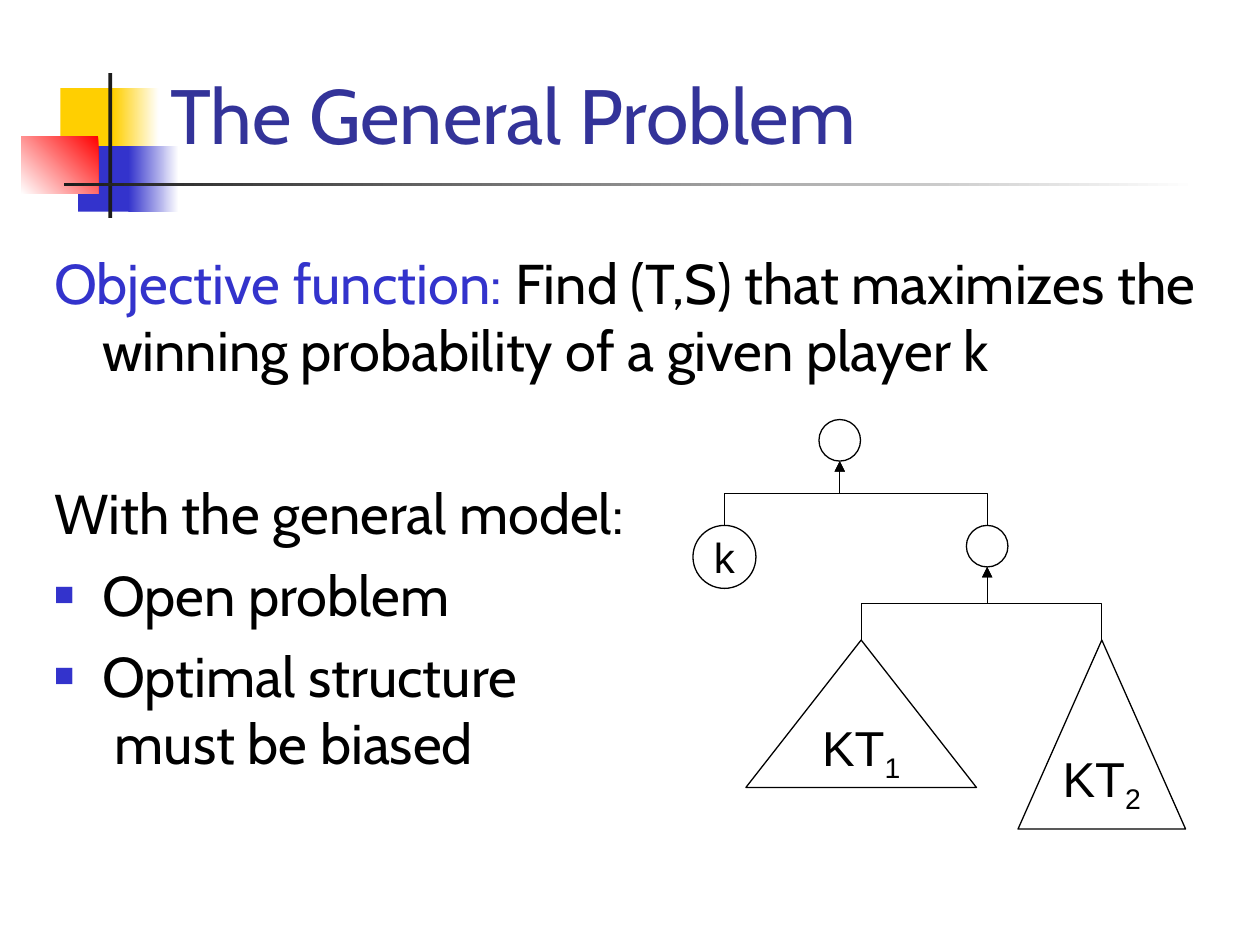
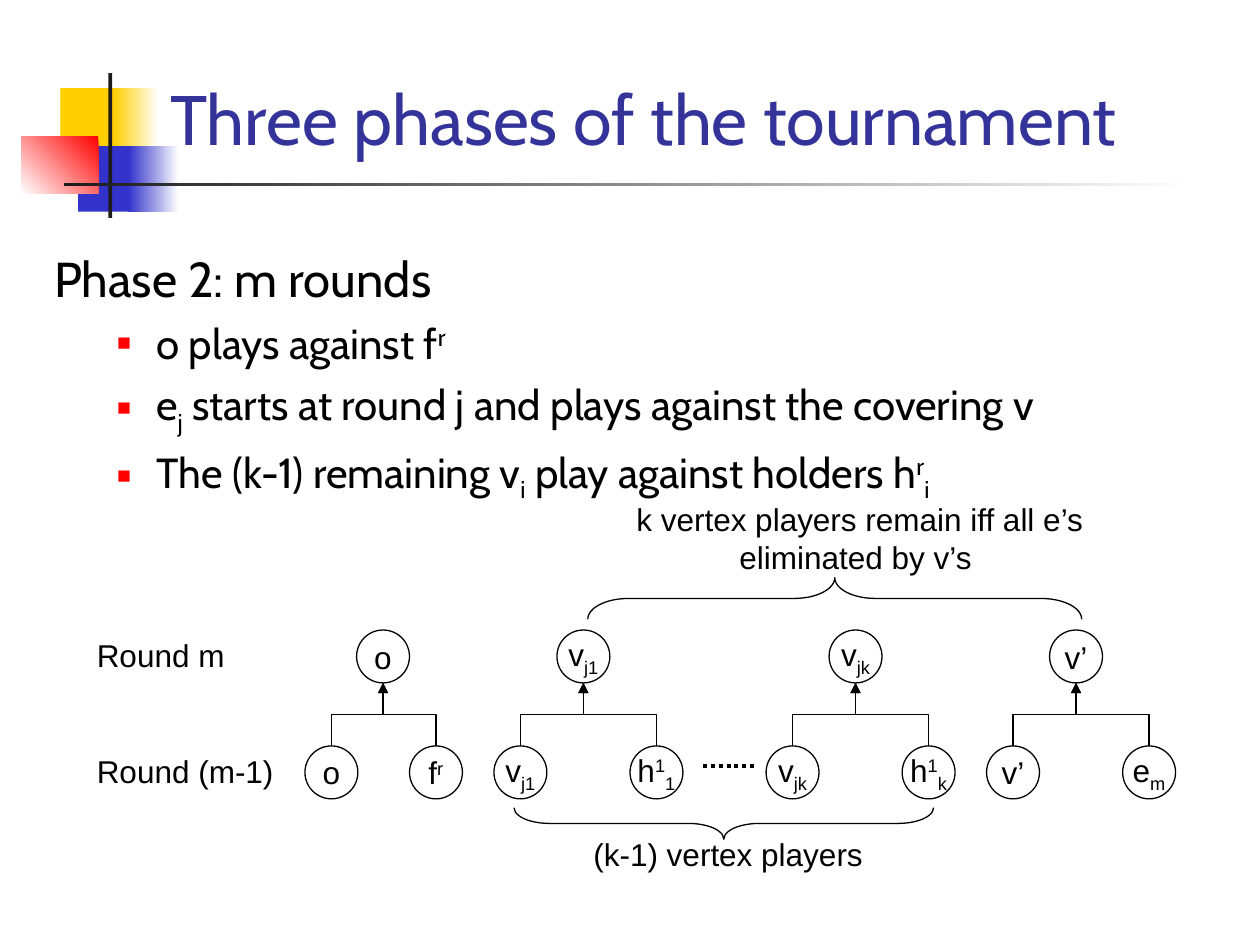
from typing import NamedTuple

from lxml import etree
from pptx import Presentation
from pptx.dml.color import RGBColor
from pptx.enum.dml import MSO_LINE
from pptx.enum.shapes import MSO_CONNECTOR, MSO_SHAPE
from pptx.enum.text import MSO_ANCHOR, MSO_AUTO_SIZE, PP_ALIGN
from pptx.oxml.ns import qn
from pptx.util import Inches, Pt

RECTANGLE, OVAL = MSO_SHAPE.RECTANGLE, MSO_SHAPE.OVAL
TRIANGLE, BRACE = MSO_SHAPE.ISOSCELES_TRIANGLE, MSO_SHAPE.LEFT_BRACE
ELBOW, STRAIGHT = MSO_CONNECTOR.ELBOW, MSO_CONNECTOR.STRAIGHT
LEFT, CENTER = PP_ALIGN.LEFT, PP_ALIGN.CENTER
TOP, MIDDLE, BOTTOM = MSO_ANCHOR.TOP, MSO_ANCHOR.MIDDLE, MSO_ANCHOR.BOTTOM
NO_AUTOFIT = MSO_AUTO_SIZE.NONE
DOTTED = MSO_LINE.ROUND_DOT

TEXT_FONT, DIAGRAM_FONT = "Cabin", "Arial"
BLACK, WHITE, CHARCOAL = "000000", "FFFFFF", "1C1C1C"
BLUE, TITLE_BLUE, YELLOW, RED = "3333CC", "333399", "FFCF01", "FF0000"
SUB, SUPER = -25, 30


class Span(NamedTuple):
    text: str
    baseline: int = 0
    color: str = BLACK


class Bullet(NamedTuple):
    color: str
    percent: int


class Item(NamedTuple):
    spans: list[Span]
    size: int
    before: float = 0
    margin: float = 0.38
    hanging: float = 0.38
    level: int = 0
    bullet: Bullet | None = None


class Band(NamedTuple):
    left: float
    top: float
    width: float
    height: float
    color: str
    fade_to: str | None = None
    angle: int = 0


class Match(NamedTuple):
    left: float
    winner_offset: float
    right_offset: float
    winner: list[Span]
    first: list[Span]
    second: list[Span]


class Label(NamedTuple):
    text: str
    left: float
    top: float
    width: float
    height: float
    align: PP_ALIGN = CENTER


BANDS = [
    Band(0.48, 0.7, 0.48, 0.52, YELLOW),
    Band(0.9, 0.7, 0.36, 0.52, YELLOW, WHITE),
    Band(0.62, 1.16, 0.46, 0.52, BLUE),
    Band(1.02, 1.16, 0.4, 0.52, BLUE, WHITE),
    Band(0.17, 1.08, 0.61, 0.46, RED, WHITE, 225),
    Band(0.86, 0.58, 0.03, 1.15, CHARCOAL),
    Band(0.51, 1.45, 9, 0.03, CHARCOAL, WHITE),
]


def rgb(color: str) -> RGBColor:
    return RGBColor.from_string(color)


# Text
def add_spans(para, spans: list[Span], size: int, font: str) -> None:
    for span in spans:
        for index, line in enumerate(span.text.split("\n")):
            if index:
                para.add_line_break()
            run = para.add_run()
            run.text = line
            run.font.size = Pt(size)
            run.font.name = font
            run.font.color.rgb = rgb(span.color)
            if span.baseline:
                run.font._element.set("baseline", str(span.baseline * 1000))


def set_bullet(para, item: Item) -> None:
    properties = para._p.get_or_add_pPr()
    properties.set("marL", str(Inches(item.margin)))
    properties.set("indent", str(-Inches(item.hanging)))
    if item.bullet is None:
        etree.SubElement(properties, qn("a:buNone"))
        return
    color = etree.SubElement(properties, qn("a:buClr"))
    etree.SubElement(color, qn("a:srgbClr"), val=item.bullet.color)
    etree.SubElement(properties, qn("a:buSzPct"), val=str(item.bullet.percent * 1000))
    etree.SubElement(properties, qn("a:buFont"), typeface=DIAGRAM_FONT)
    etree.SubElement(properties, qn("a:buChar"), char="■")


def place(box, left: float, top: float, width: float, height: float) -> None:
    box.left, box.top = Inches(left), Inches(top)
    box.width, box.height = Inches(width), Inches(height)


def fill_title(slide, text: str, size: int) -> None:
    title = slide.shapes.title
    place(title, 1.25, 0.33, 8.52, 0.99)
    frame = title.text_frame
    frame.auto_size = NO_AUTOFIT
    frame.vertical_anchor = BOTTOM
    para = frame.paragraphs[0]
    para.alignment = LEFT
    add_spans(para, [Span(text, color=TITLE_BLUE)], size, TEXT_FONT)


def fill_body(slide, items: list[Item], height: float) -> None:
    body = slide.placeholders[1]
    place(body, 0.33, 1.92, 9.67, height)
    frame = body.text_frame
    frame.auto_size = NO_AUTOFIT
    frame.vertical_anchor = TOP
    for index, item in enumerate(items):
        para = frame.add_paragraph() if index else frame.paragraphs[0]
        set_bullet(para, item)
        para.level = item.level
        para.space_before = Pt(item.before)
        add_spans(para, item.spans, item.size, TEXT_FONT)


def add_label(slide, label: Label) -> None:
    box = slide.shapes.add_textbox(Inches(label.left), Inches(label.top),
                                   Inches(label.width), Inches(label.height))
    box.text_frame.word_wrap = True
    para = box.text_frame.paragraphs[0]
    para.alignment = label.align
    add_spans(para, [Span(label.text)], 18, DIAGRAM_FONT)


# Diagram parts
def add_outline(slide, kind, left: float, top: float, width: float, height: float):
    shape = slide.shapes.add_shape(kind, Inches(left), Inches(top),
                                   Inches(width), Inches(height))
    shape.shadow.inherit = False
    shape.fill.background()
    shape.line.color.rgb = rgb(BLACK)
    shape.line.width = Pt(0.75)
    return shape


def write_inside(shape, spans: list[Span], size: int) -> None:
    frame = shape.text_frame
    frame.word_wrap = False
    frame.vertical_anchor = MIDDLE
    frame.paragraphs[0].alignment = CENTER
    add_spans(frame.paragraphs[0], spans, size, DIAGRAM_FONT)


def add_circle(slide, left: float, top: float, size: float,
               spans: list[Span], text_size: int = 18):
    circle = add_outline(slide, OVAL, left, top, size, size)
    write_inside(circle, spans, text_size)
    return circle


def add_subtree(slide, left: float, width: float, height: float, number: str):
    subtree = add_outline(slide, TRIANGLE, left, 5.08, width, height)
    subtree.fill.solid()
    subtree.fill.fore_color.rgb = rgb(WHITE)
    write_inside(subtree, [Span("KT"), Span(number, SUB)], 28)
    return subtree


def add_brace(slide, left: float, top: float, width: float, height: float,
              rotation: int, curve: float) -> None:
    brace = add_outline(slide, BRACE, left, top, width, height)
    brace.adjustments[0] = curve
    brace.rotation = rotation


def add_line(slide, kind, start: tuple[int, int], end: tuple[int, int], weight: float):
    line = slide.shapes.add_connector(kind, *start, *end)
    line.line.color.rgb = rgb(BLACK)
    line.line.width = Pt(weight)
    etree.SubElement(line._element.spPr, qn("a:effectLst"))
    return line


def add_arrow(slide, child, parent) -> None:
    """Elbow arrow that leaves the child upwards and enters the parent from below."""
    start_x, start_y = child.left + child.width // 2, child.top
    end_x, end_y = parent.left + parent.width // 2, parent.top + parent.height
    rise, run = start_y - end_y, abs(end_x - start_x)
    left = (start_x + end_x - rise) // 2
    top = (start_y + end_y - run) // 2
    begin, finish = left, left + rise
    rotation = 270
    if end_x > start_x:
        begin, finish = finish, begin
        rotation = 90
    # The elbow is drawn sideways and then turned upright
    arrow = add_line(slide, ELBOW, (begin, top + run), (finish, top), 0.75)
    arrow._element.spPr.find(qn("a:xfrm")).set("rot", str(rotation * 60000))
    etree.SubElement(arrow.line._get_or_add_ln(), qn("a:tailEnd"), type="triangle")


# Shared decoration, kept on the layout
def decorate_layout(layout, slide) -> None:
    for position, band in enumerate(BANDS, start=2):
        shape = add_outline(slide, RECTANGLE, band.left, band.top, band.width, band.height)
        shape.line.fill.background()
        if band.fade_to is None:
            shape.fill.solid()
            shape.fill.fore_color.rgb = rgb(band.color)
        else:
            shape.fill.gradient()
            shape.fill.gradient_angle = band.angle
            for stop, color in zip(shape.fill.gradient_stops, (band.color, band.fade_to)):
                stop.color.rgb = rgb(color)
        layout.shapes._spTree.insert(position, shape._element)


def build_general_problem(slide) -> None:
    fill_title(slide, "The General Problem", 44)
    square = Bullet(BLUE, 60)
    fill_body(slide, [
        Item([Span("Objective function: ", color=BLUE),
              Span("Find (T,S) that maximizes the winning probability of a given player k")], 32),
        Item([Span("With the general model:")], 32, before=55),
        Item([Span("Open problem")], 32, before=8, bullet=square),
        Item([Span("Optimal structure \n must be biased")], 32, before=8, bullet=square),
    ], 4.75)

    player = add_circle(slide, 5.5, 4.17, 0.5, [Span("k")], 24)
    final = add_circle(slide, 6.5, 3.33, 0.33, [])
    semifinal = add_circle(slide, 7.67, 4.17, 0.33, [])
    first_subtree = add_subtree(slide, 5.92, 1.83, 1.17, "1")
    second_subtree = add_subtree(slide, 8.08, 1.33, 1.5, "2")
    for child, parent in [(player, final), (semifinal, final),
                          (first_subtree, semifinal), (second_subtree, semifinal)]:
        add_arrow(slide, child, parent)


def build_three_phases(slide) -> None:
    fill_title(slide, "Three phases of the tournament", 40)
    rules = [
        [Span("o plays against f"), Span("r", SUPER)],
        [Span("e"), Span("j", SUB), Span(" starts at round j and plays against the covering v")],
        [Span("The (k-1) remaining v"), Span("i", SUB), Span(" play against holders h"),
         Span("r", SUPER), Span("i", SUB)],
    ]
    fill_body(slide, [Item([Span("Phase 2: m rounds")], 28)] + [
        Item(spans, 24, 6, 0.81, 0.31, 1, Bullet(RED, 55)) for spans in rules], 5.25)

    # Matches between the two rounds
    o, cover = [Span("o")], [Span("v’")]
    vertex_1, vertex_k = ([Span("v"), Span(name, SUB)] for name in ("j1", "jk"))
    holder_1, holder_k = ([Span("h"), Span("1", SUPER), Span(name, SUB)] for name in "1k")
    for match in [
        Match(2.42, 0.41, 0.83, o, o, [Span("f"), Span("r", SUPER)]),
        Match(3.92, 0.5, 1.08, vertex_1, vertex_1, holder_1),
        Match(6.08, 0.5, 1.08, vertex_k, vertex_k, holder_k),
        Match(7.83, 0.5, 1.08, cover, cover, [Span("e"), Span("m", SUB)]),
    ]:
        winner = add_circle(slide, match.left + match.winner_offset, 5, 0.42, match.winner)
        for offset, spans in [(0, match.first), (match.right_offset, match.second)]:
            add_arrow(slide, add_circle(slide, match.left + offset, 5.92, 0.42, spans), winner)
    dots = add_line(slide, STRAIGHT, (Inches(5.58), Inches(6.08)),
                    (Inches(6), Inches(6.08)), 2.25)
    dots.line.dash_style = DOTTED

    # Braces and labels
    add_brace(slide, 5.62, 4.87, 0.25, 3.33, 270, 1.12)
    add_brace(slide, 6.46, 2.79, 0.33, 3.92, 90, 0.98)
    for label in [
        Label(" (k-1) vertex players", 4.33, 6.58, 2.83, 0.4),
        Label("Round (m-1)", 0.67, 5.92, 1.67, 0.4, LEFT),
        Label("Round m", 0.67, 5, 1.5, 0.4, LEFT),
        Label(" k vertex players remain iff all e’s eliminated by v’s", 4.75, 3.92, 4.08, 0.7),
    ]:
        add_label(slide, label)


def main() -> None:
    deck = Presentation()
    deck.slide_width, deck.slide_height = Inches(10), Inches(7.5)
    layout = deck.slide_layouts[1]
    pages = [deck.slides.add_slide(layout) for _ in range(2)]
    decorate_layout(layout, pages[0])
    build_general_problem(pages[0])
    build_three_phases(pages[1])
    deck.save("out.pptx")


if __name__ == "__main__":
    main()
